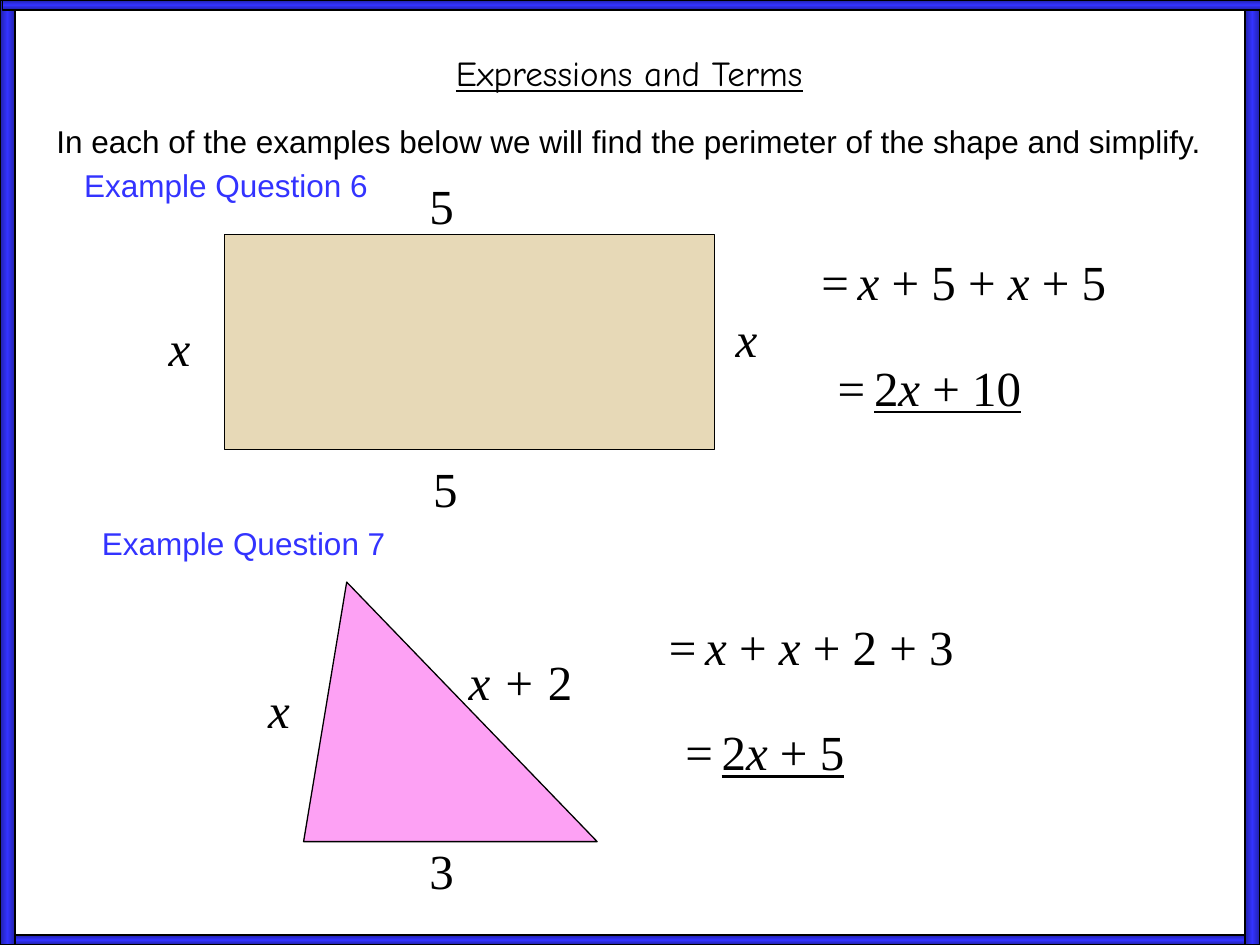
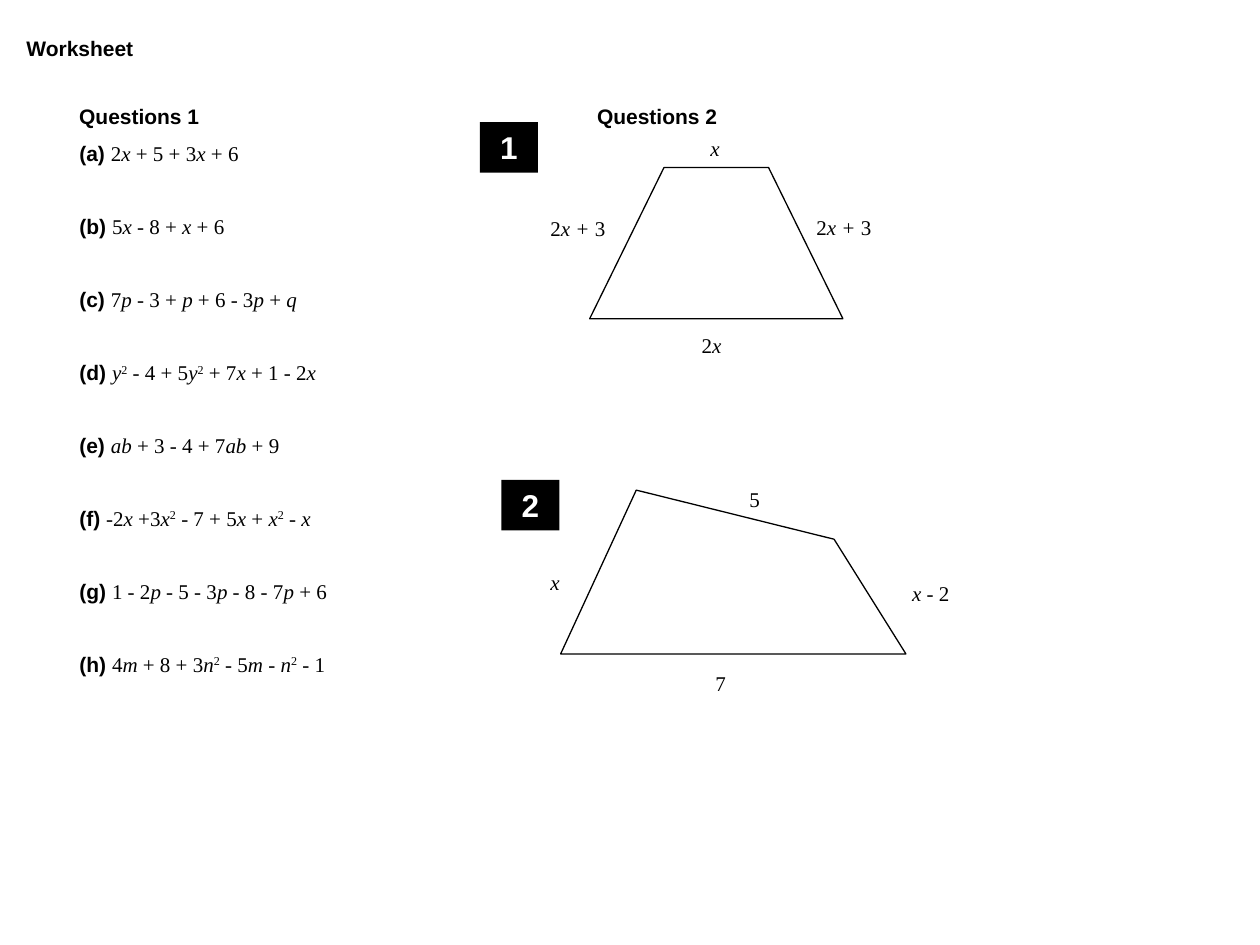
from copy import deepcopy
from dataclasses import dataclass
from itertools import groupby

from lxml.etree import SubElement
from pptx import Presentation
from pptx.dml.color import RGBColor
from pptx.enum.shapes import MSO_SHAPE
from pptx.enum.text import MSO_ANCHOR, MSO_AUTO_SIZE, PP_ALIGN
from pptx.oxml.ns import qn
from pptx.util import Inches, Pt

BLACK = RGBColor(0x00, 0x00, 0x00)
WHITE = RGBColor(0xFF, 0xFF, 0xFF)
BLUE = RGBColor(0x33, 0x33, 0xFF)
DARK_BLUE = RGBColor(0x21, 0x21, 0xA8)
SAND = RGBColor(0xE7, 0xD9, 0xB7)
PINK = RGBColor(0xFD, 0xA1, 0xF4)

SANS = "Arial"
HAND = "Comic Neue"
MATHS = "Times New Roman"
LARGE, MEDIUM, SMALL = 28, 18, 12
LINE_HEIGHT = {LARGE: 0.57, MEDIUM: 0.4, SMALL: 0.3}


@dataclass(frozen=True)
class Area:
    left: float
    top: float
    width: float
    height: float

    def lengths(self) -> tuple:
        return tuple(Inches(n) for n in (self.left, self.top, self.width, self.height))


@dataclass(frozen=True)
class Label:
    """Algebra on one line; letters and any slanted characters are italic."""
    text: str
    left: float
    top: float
    width: float
    slanted: str = ""


@dataclass(frozen=True)
class Heading:
    text: str
    left: float
    top: float
    width: float
    color: RGBColor = BLACK


@dataclass(frozen=True)
class Working:
    """Two lines of working: the sum and its simplified, underlined answer."""
    total: str
    answer: str
    left: float
    top: float


@dataclass(frozen=True)
class Badge:
    text: str
    left: float
    top: float


# Slide content
BORDERS = [
    (Area(0, 7.42, 10, 0.08), 90),
    (Area(0, 0, 0.12, 7.5), 0),
    (Area(9.88, 0, 0.12, 7.5), 0),
    (Area(0.02, 0, 10, 0.08), 90),
]
EXAMPLE_HEADINGS = [
    Heading("In each of the examples below we will find the perimeter of the shape "
            "and simplify.", 0.35, 0.92, 9.43),
    Heading("Example Question 6", 0.57, 1.27, 2.73, BLUE),
    Heading("Example Question 7", 0.71, 4.11, 2.73, BLUE),
]
EXAMPLE_SIDES = [
    Label("5", 3.31, 1.34, 0.64),
    Label("x", 1.24, 2.47, 0.62),
    Label("x", 5.74, 2.4, 0.62),
    Label("5", 3.34, 3.59, 0.64),
    Label("x", 2.03, 5.34, 0.62),
    Label("3", 3.31, 6.62, 0.64),
    Label("x + 2", 3.62, 5.12, 1.12, slanted="+ "),
]
WORKINGS = [
    Working("x + 5 + x + 5", "2x + 10", 6.42, 1.95),
    Working("x + x + 2 + 3", "2x + 5", 5.21, 4.84),
]
QUESTIONS = [
    "2x + 5 + 3x + 6",
    "5x - 8 + x + 6",
    "7p - 3 + p + 6 - 3p + q",
    "y² - 4 + 5y² + 7x + 1 - 2x",
    "ab + 3 - 4 + 7ab + 9",
    "-2x +3x² - 7 + 5x + x² - x",
    "1 - 2p - 5 - 3p - 8 - 7p + 6",
    "4m + 8 + 3n² - 5m - n² - 1",
]
QUESTION_HEADINGS = [
    Heading("Questions 1", 0.53, 0.77, 2.41),
    Heading("Questions 2", 4.64, 0.77, 2.41),
]
OUTLINES = [
    [(4.68, 2.53), (6.69, 2.53), (6.1, 1.33), (5.27, 1.33)],
    [(7.19, 5.19), (4.45, 5.19), (5.05, 3.89), (6.62, 4.28)],
]
WORKSHEET_SIDES = [
    Label("x", 5.54, 1.03, 0.62),
    Label("2x + 3", 4.27, 1.66, 1.51, slanted="+ "),
    Label("2x + 3", 6.38, 1.65, 1.51, slanted="+ "),
    Label("2x", 5.47, 2.59, 0.62),
    Label("5", 5.85, 3.81, 0.47),
    Label("x", 4.27, 4.47, 0.62),
    Label("x - 2", 7.14, 4.56, 1.06),
    Label("7", 5.58, 5.27, 0.47),
]
BADGES = [Badge("1", 3.81, 0.97), Badge("2", 3.98, 3.81)]


# Text helpers
def style(paragraph, size: float, name: str | None = None, color: RGBColor = BLACK,
          bold: bool | None = None, underline: bool | None = None) -> None:
    font = paragraph.font
    font.size, font.name = Pt(size), name
    font.bold, font.underline = bold, underline
    font.color.rgb = color


def add_span(paragraph, text: str, name: str, bold: bool | None = None):
    span = paragraph.add_run()
    span.text = text
    span.font.name, span.font.bold = name, bold
    return span


def add_algebra(paragraph, text: str, slanted: str = "",
                underline: bool | None = None) -> None:
    def kind(char: str) -> str:
        if char == "²":
            return "power"
        return "variable" if char.isalpha() or char in slanted else "number"

    for group, chars in groupby(text, kind):
        span = add_span(paragraph, "".join(chars).replace("²", "2"), MATHS)
        span.font.underline = underline
        if group == "variable":
            span.font.italic = True
        elif group == "power":
            span.font._element.set("baseline", "30000")


def add_line(page, left: float, top: float, width: float, size: int):
    area = Area(left, top, width, LINE_HEIGHT[size])
    box = page.shapes.add_textbox(*area.lengths())
    box.text_frame.word_wrap = True
    return box.text_frame.paragraphs[0]


def add_heading(page, heading: Heading, size: int, bold: bool | None = None) -> None:
    para = add_line(page, heading.left, heading.top, heading.width, size)
    para.text = heading.text
    style(para, size, SANS, heading.color, bold)


def add_label(page, label: Label, size: int) -> None:
    para = add_line(page, label.left, label.top, label.width, size)
    style(para, size, MATHS)
    add_algebra(para, label.text, label.slanted)


def add_working(page, working: Working) -> None:
    lines = [
        (working.total, working.left, working.top, 2.84, None),
        (working.answer, working.left + 0.13, working.top + 0.84, 1.72, True),
    ]
    for text, left, top, width, underline in lines:
        para = add_line(page, left, top, width, LARGE)
        style(para, LARGE)
        add_span(para, "=", MATHS)
        add_span(para, " ", SANS, bold=True).font.size = Pt(MEDIUM)
        add_algebra(para, text, underline=underline)


def place(holder, area: Area):
    holder.left, holder.top, holder.width, holder.height = area.lengths()
    frame = holder.text_frame
    frame.auto_size, frame.word_wrap = MSO_AUTO_SIZE.NONE, True
    frame.vertical_anchor = MSO_ANCHOR.TOP
    return frame


def set_title(page, text: str, area: Area, align: PP_ALIGN):
    para = place(page.shapes.title, area).paragraphs[0]
    para.text, para.alignment = text, align
    return para


# Shape helpers
def outline(shape, fill: RGBColor | None = None) -> None:
    shape.shadow.inherit = False
    if fill is None:
        shape.fill.background()
    else:
        shape.fill.solid()
        shape.fill.fore_color.rgb = fill
    shape.line.color.rgb = BLACK
    shape.line.width = Pt(0.75)


def add_border(page, area: Area, angle: int) -> None:
    bar = page.shapes.add_shape(MSO_SHAPE.RECTANGLE, *area.lengths())
    outline(bar, BLUE)
    bar.fill.gradient()
    bar.fill.gradient_angle = angle
    stop_list = bar._element.spPr.find(".//" + qn("a:gsLst"))
    stop_list.append(deepcopy(stop_list[0]))
    shades = [(0, DARK_BLUE), (0.5, BLUE), (1, DARK_BLUE)]
    for stop, (position, color) in zip(bar.fill.gradient_stops, shades):
        stop.position, stop.color.rgb = position, color


def add_outline(page, corners: list[tuple[float, float]]) -> None:
    points = [(Inches(x), Inches(y)) for x, y in corners]
    builder = page.shapes.build_freeform(*points[0])
    builder.add_line_segments(points[1:], close=True)
    outline(builder.convert_to_shape())


def add_badge(page, badge: Badge) -> None:
    area = Area(badge.left, badge.top, 0.46, 0.4)
    box = page.shapes.add_shape(MSO_SHAPE.RECTANGLE, *area.lengths())
    outline(box, BLACK)
    box.line.fill.background()
    para = box.text_frame.paragraphs[0]
    para.text, para.alignment = badge.text, PP_ALIGN.CENTER
    style(para, MEDIUM, SANS, WHITE, bold=True)


def add_questions(holder) -> None:
    frame = place(holder, Area(0.53, 1.07, 2.95, 4.4))
    for number, question in enumerate(QUESTIONS):
        para = frame.add_paragraph() if number else frame.paragraphs[0]
        properties = para._p.get_or_add_pPr()
        properties.set("marL", "0")
        properties.set("indent", "0")
        SubElement(properties, qn("a:buNone"))
        para.line_spacing = Pt(14)
        para.space_before = Pt(27.7 if number else 0)
        style(para, SMALL)
        add_span(para, f"({chr(ord('a') + number)}) ", SANS, bold=True)
        add_algebra(para, question)


# Slides
def build_examples(deck) -> None:
    page = deck.slides.add_slide(deck.slide_layouts[5])
    for area, angle in BORDERS:
        add_border(page, area, angle)
    title = set_title(page, "Expressions and Terms", Area(2.3, 0.36, 5.39, 0.44),
                      PP_ALIGN.CENTER)
    style(title, 20, HAND, underline=True)
    for heading in EXAMPLE_HEADINGS:
        add_heading(page, heading, MEDIUM)

    rectangle = page.shapes.add_shape(MSO_SHAPE.RECTANGLE,
                                      *Area(1.78, 1.86, 3.89, 1.71).lengths())
    outline(rectangle, SAND)
    triangle = page.shapes.add_shape(MSO_SHAPE.ISOSCELES_TRIANGLE,
                                     *Area(2.41, 4.62, 2.33, 2.06).lengths())
    triangle.adjustments[0] = 0.147
    outline(triangle, PINK)

    for side in EXAMPLE_SIDES:
        add_label(page, side, LARGE)
    for working in WORKINGS:
        add_working(page, working)


def build_worksheet(deck) -> None:
    page = deck.slides.add_slide(deck.slide_layouts[1])
    title = set_title(page, "Worksheet", Area(0.11, 0.23, 2.41, 0.3), PP_ALIGN.LEFT)
    style(title, SMALL, SANS, bold=True)
    add_questions(page.placeholders[1])
    for heading in QUESTION_HEADINGS:
        add_heading(page, heading, SMALL, bold=True)
    for corners in OUTLINES:
        add_outline(page, corners)
    for side in WORKSHEET_SIDES:
        add_label(page, side, SMALL)
    for badge in BADGES:
        add_badge(page, badge)


def main() -> None:
    deck = Presentation()
    deck.slide_width, deck.slide_height = Inches(10), Inches(7.5)
    build_examples(deck)
    build_worksheet(deck)
    deck.save("out.pptx")


if __name__ == "__main__":
    main()
